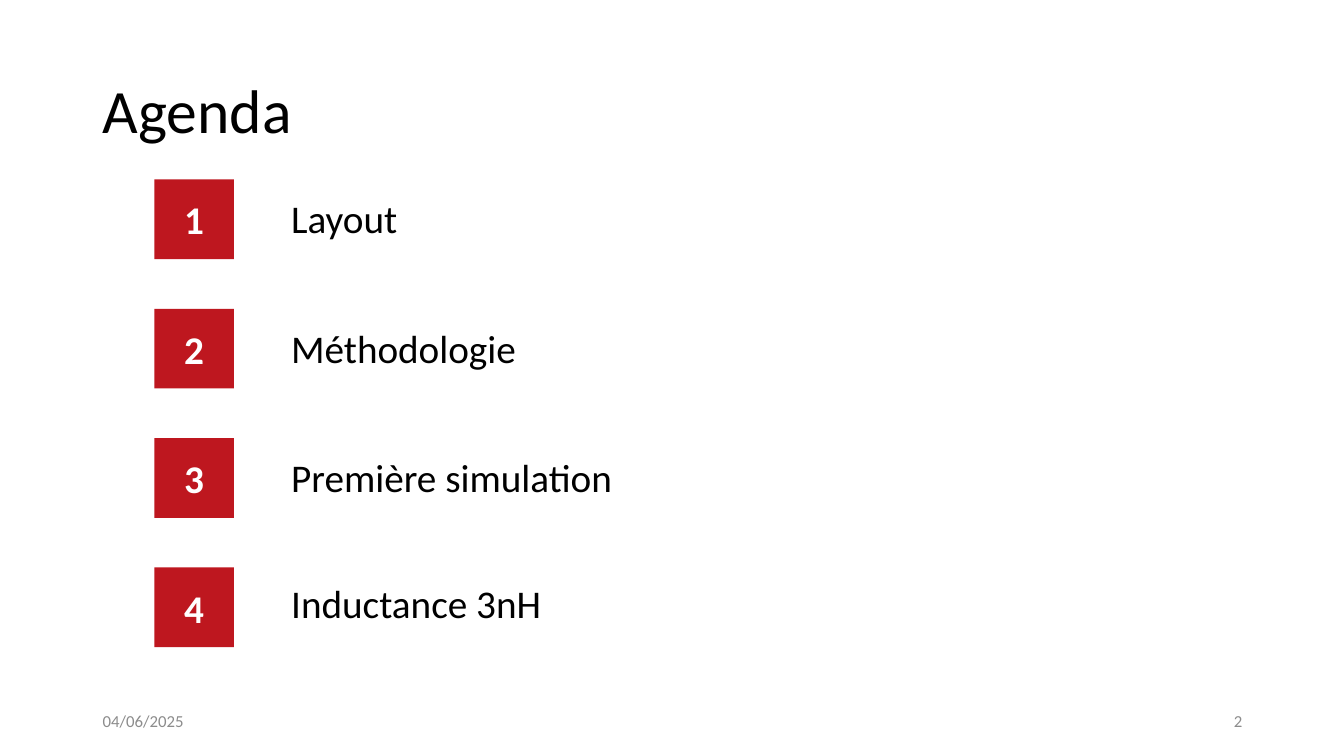
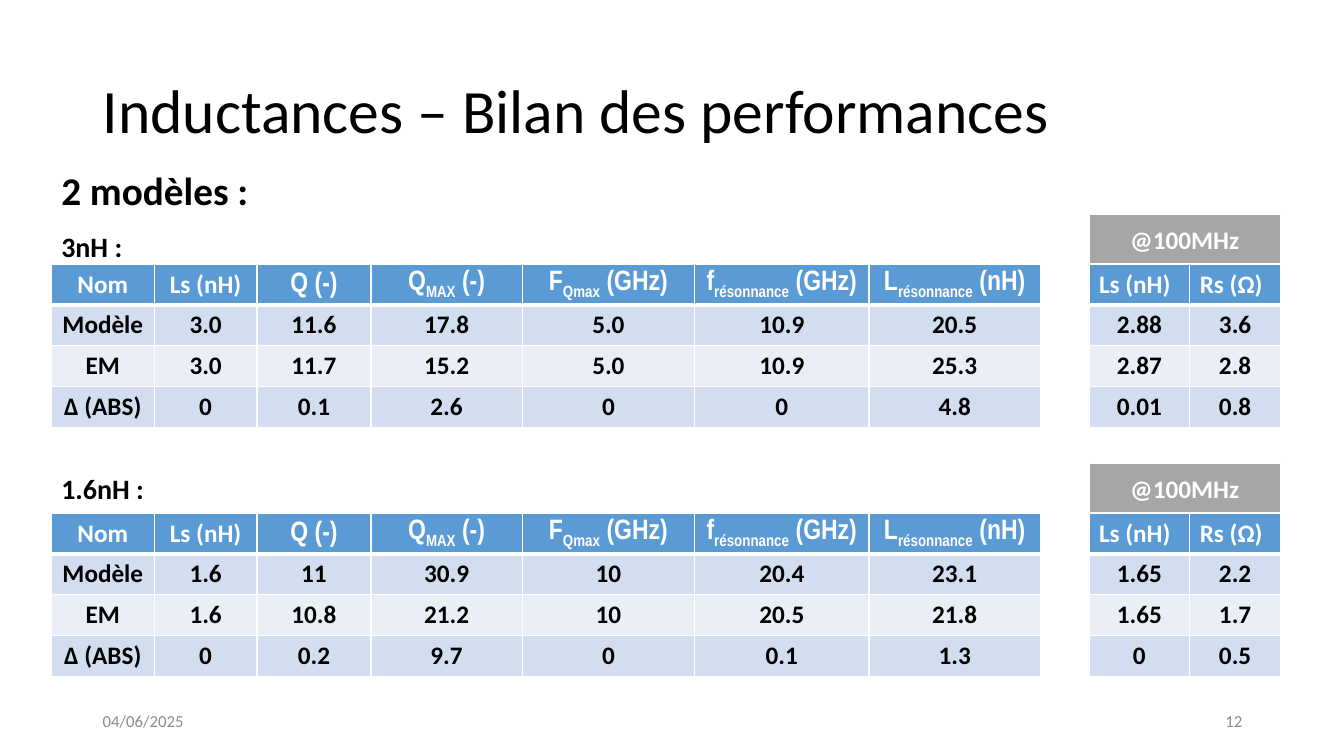
from lxml import etree
from pptx import Presentation
from pptx.dml.color import RGBColor
from pptx.enum.shapes import MSO_SHAPE
from pptx.enum.text import MSO_ANCHOR, PP_ALIGN
from pptx.oxml.ns import qn
from pptx.util import Inches, Pt

LEFT, CENTER, RIGHT = PP_ALIGN.LEFT, PP_ALIGN.CENTER, PP_ALIGN.RIGHT
TOP, MIDDLE = MSO_ANCHOR.TOP, MSO_ANCHOR.MIDDLE
RECTANGLE = MSO_SHAPE.RECTANGLE

COLORS = {
    "black": "000000",
    "white": "FFFFFF",
    "footer": "8C8C8C",
    "red": "BE171F",
    "gray": "A6A6A6",
    "header": "5B9BD5",
    "band_dark": "D2DEEF",
    "band_light": "EAEFF7",
}
BODY_FONT = "Calibri"
FORMULA_FONT = "Arial Narrow"
DATE = "04/06/2025"

# Agenda: label and top of its text box
AGENDA = [
    ("Layout", 1.88),
    ("Méthodologie", 3.17),
    ("Première simulation", 4.45),
    ("Inductance 3nH", 5.7),
]
SQUARE_TOP, SQUARE_BOTTOM_ROW, SQUARE_SIZE = 1.78, 5.63, 0.79

# Results: underscores enclose subscripts
MAIN_LEFT, SIDE_LEFT = 0.51, 10.8
MAIN_WIDTHS = [1.02, 1.02, 1.13, 1.5, 1.71, 1.73, 1.7]
SIDE_WIDTHS = [1, 0.9]
ROW_HEIGHT = 1.62 / 4
BANNER_HEIGHT = 0.49
MAIN_HEADERS = ["Nom", "Ls (nH)", "Q (-)", "Q_MAX_ (-)", "F_Qmax_ (GHz)",
                "f_résonnance_ (GHz)", "L_résonnance_ (nH)"]
SIDE_HEADERS = ["Ls (nH)", "Rs (Ω)"]
FIRST_FORMULA_COLUMN = 2
MODELS = [
    {
        "name": "3nH :", "name_top": 2.23, "table_top": 2.62,
        "main": [
            ["Modèle", "3.0", "11.6", "17.8", "5.0", "10.9", "20.5"],
            ["EM", "3.0", "11.7", "15.2", "5.0", "10.9", "25.3"],
            ["Δ (ABS)", "0", "0.1", "2.6", "0", "0", "4.8"],
        ],
        "side": [["2.88", "3.6"], ["2.87", "2.8"], ["0.01", "0.8"]],
    },
    {
        "name": "1.6nH :", "name_top": 4.63, "table_top": 5.09,
        "main": [
            ["Modèle", "1.6", "11", "30.9", "10", "20.4", "23.1"],
            ["EM", "1.6", "10.8", "21.2", "10", "20.5", "21.8"],
            ["Δ (ABS)", "0", "0.2", "9.7", "0", "0.1", "1.3"],
        ],
        "side": [["1.65", "2.2"], ["1.65", "1.7"], ["0", "0.5"]],
    },
]


def rgb(name):
    return RGBColor.from_string(COLORS[name])


def write_text(frame, text, size=18, color="black", bold=False, font=BODY_FONT,
               align=LEFT, line_spacing=None):
    paragraph = frame.paragraphs[0]
    paragraph.alignment = align
    paragraph.line_spacing = line_spacing
    for index, part in enumerate(text.split("_")):
        run = paragraph.add_run()
        run.text = part
        run.font.name = font
        run.font.size = Pt(size)
        run.font.bold = bold
        run.font.color.rgb = rgb(color)
        if index % 2:
            run.font._element.set("baseline", "-25000")


def add_text(slide, text, left, top, width, height, anchor=TOP, **text_format):
    shape = slide.shapes.add_textbox(Inches(left), Inches(top), Inches(width), Inches(height))
    shape.text_frame.word_wrap = True
    shape.text_frame.vertical_anchor = anchor
    write_text(shape.text_frame, text, **text_format)


def add_box(slide, text, left, top, width, height, fill, size, line=None):
    shape = slide.shapes.add_shape(RECTANGLE, Inches(left), Inches(top),
                                   Inches(width), Inches(height))
    shape.shadow.inherit = False
    shape.fill.solid()
    shape.fill.fore_color.rgb = rgb(fill)
    if line:
        shape.line.color.rgb = rgb(line)
        shape.line.width = Pt(1)
    else:
        shape.line.fill.background()
    shape.text_frame.vertical_anchor = MIDDLE
    write_text(shape.text_frame, text, size=size, color="white", bold=True, align=CENTER)


def set_borders(cell, top, bottom):
    properties = cell._tc.get_or_add_tcPr()
    for side, width in (("L", 1), ("R", 1), ("T", top), ("B", bottom)):
        line = etree.SubElement(properties, qn(f"a:ln{side}"), w=str(Pt(width)))
        fill = etree.SubElement(line, qn("a:solidFill"))
        etree.SubElement(fill, qn("a:srgbClr"), val=COLORS["white"])


def style_cell(cell, row_index, is_formula):
    # A thick rule separates the header from the values
    set_borders(cell, top=3 if row_index == 1 else 1, bottom=3 if row_index == 0 else 1)
    fill = "header" if row_index == 0 else "band_dark" if row_index % 2 else "band_light"
    cell.fill.solid()
    cell.fill.fore_color.rgb = rgb(fill)
    cell.vertical_anchor = MIDDLE
    if is_formula:
        cell.margin_left = cell.margin_right = cell.margin_top = Inches(0.01)
        cell.margin_bottom = 0


def add_results_table(slide, rows, left, top, widths, header_align=CENTER):
    table = slide.shapes.add_table(len(rows), len(widths), Inches(left), Inches(top),
                                   Inches(sum(widths)), Inches(ROW_HEIGHT * len(rows))).table
    table.horz_banding = False
    for column, width in zip(table.columns, widths):
        column.width = Inches(width)
    for row_index, values in enumerate(rows):
        is_header = row_index == 0
        for column_index, value in enumerate(values):
            cell = table.cell(row_index, column_index)
            is_formula = is_header and column_index >= FIRST_FORMULA_COLUMN
            style_cell(cell, row_index, is_formula)
            write_text(cell.text_frame, value, bold=True,
                       size=20 if is_formula else 18,
                       font=FORMULA_FONT if is_formula else BODY_FONT,
                       color="white" if is_header else "black",
                       align=header_align if is_header else CENTER)


def add_base_slide(presentation, title, number):
    slide = presentation.slides.add_slide(presentation.slide_layouts[6])
    add_text(slide, title, 0.92, 0.4, 11.5, 1.45, anchor=MIDDLE, size=44, line_spacing=0.9)
    for text, left, align in ((DATE, 0.92, LEFT), (number, 9.42, RIGHT)):
        add_text(slide, text, left, 6.95, 3, 0.4, anchor=MIDDLE, size=12,
                 color="footer", align=align)
    return slide


def build_agenda(presentation):
    slide = add_base_slide(presentation, "Agenda", "2")
    pitch = (SQUARE_BOTTOM_ROW - SQUARE_TOP) / (len(AGENDA) - 1)
    for index, (label, label_top) in enumerate(AGENDA):
        add_box(slide, str(index + 1), 1.53, SQUARE_TOP + index * pitch,
                SQUARE_SIZE, SQUARE_SIZE, fill="red", size=28)
        add_text(slide, label, 2.79, label_top, 5.73, 0.57, size=28)


def build_results(presentation):
    slide = add_base_slide(presentation, "Inductances – Bilan des performances", "12")
    add_text(slide, "2 modèles :", MAIN_LEFT, 1.6, 3.81, 0.57, size=28, bold=True)
    for model in MODELS:
        top = model["table_top"]
        add_results_table(slide, [MAIN_HEADERS] + model["main"], MAIN_LEFT, top, MAIN_WIDTHS)
        add_results_table(slide, [SIDE_HEADERS] + model["side"], SIDE_LEFT, top, SIDE_WIDTHS,
                          header_align=LEFT)
        add_box(slide, "@100MHz", SIDE_LEFT, top - BANNER_HEIGHT, sum(SIDE_WIDTHS),
                BANNER_HEIGHT, fill="gray", size=18, line="white")
        add_text(slide, model["name"], MAIN_LEFT, model["name_top"], 2.6, 0.44,
                 size=20, bold=True)


def main():
    presentation = Presentation()
    presentation.slide_width = Inches(13.33)
    presentation.slide_height = Inches(7.5)
    build_agenda(presentation)
    build_results(presentation)
    presentation.save("out.pptx")


if __name__ == "__main__":
    main()
